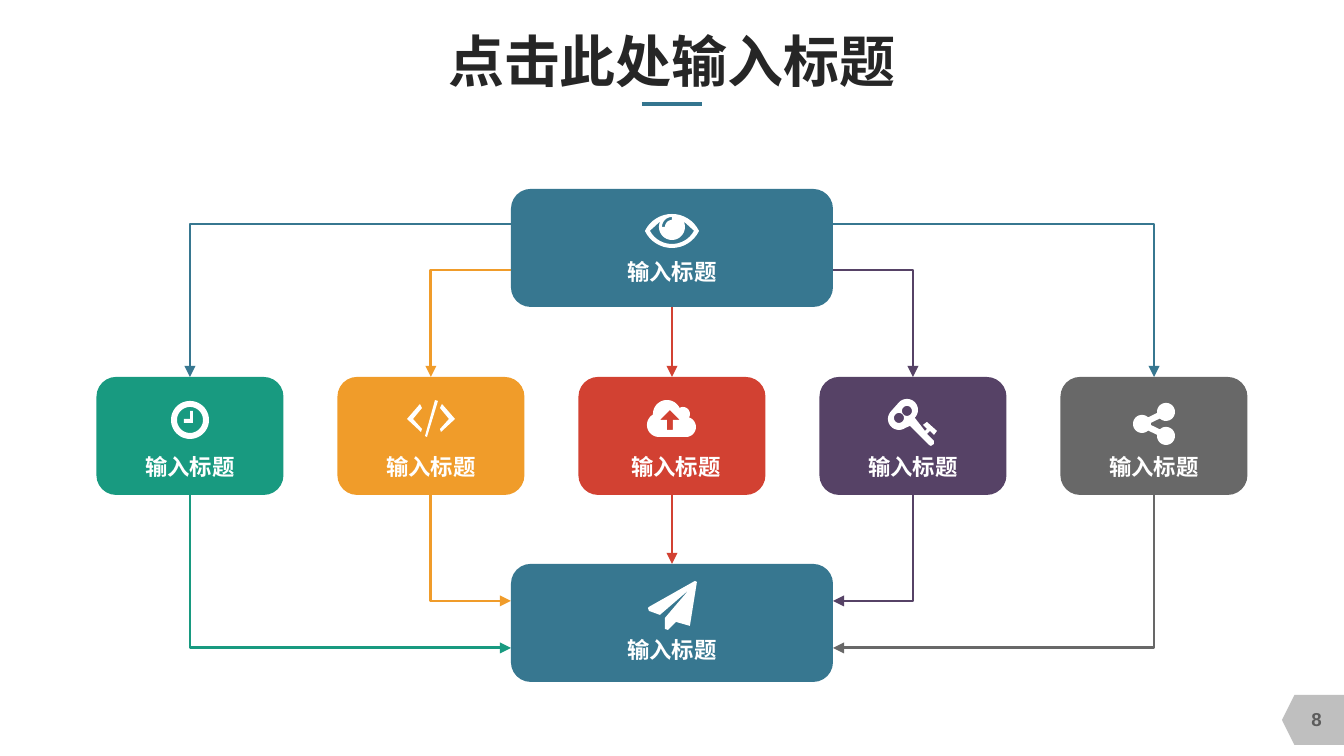
from math import cos, radians, sin

from lxml.etree import SubElement
from pptx import Presentation
from pptx.dml.color import RGBColor
from pptx.enum.shapes import MSO_CONNECTOR, MSO_SHAPE
from pptx.enum.text import MSO_ANCHOR, PP_ALIGN
from pptx.oxml.ns import qn
from pptx.util import Pt

EMU_PER_PX = 914400 / 134.4
CENTER = 672
NODE_PITCH, NODE_TOP, NODE_WIDTH = 241, 377, 187
HUB_WIDTH, HUB_TOP, TARGET_TOP = 322, 189, 564
BOX_HEIGHT = 118
LABEL = "输入标题"
WHITE, BLUE, GREEN = "FFFFFF", "377790", "189A80"
ORANGE, RED, PURPLE, GRAY = "F09C2A", "D24132", "564266", "686868"


def px(value):
    return round(value * EMU_PER_PX)


def color(hex_string):
    return RGBColor.from_string(hex_string)


def arc(x, y, radius, start, end):
    """Points of a circular arc; angles in degrees, clockwise from the right."""
    steps = max(4, int(abs(end - start) / 8))
    angles = [radians(start + (end - start) * i / steps) for i in range(steps + 1)]
    return [(x + radius * cos(a), y + radius * sin(a)) for a in angles]


def circle(x, y, radius):
    return arc(x, y, radius, 0, 360)


# Icon outlines: px from the middle of the box's top edge.
CHEVRON = [(-10, 55), (-24, 42), (-11, 27), (-9, 31), (-18, 42), (-9, 52)]
CLOCK = [
    circle(0, 43, 19),
    circle(0, 43, 13),
    [(0, 34), (3, 34), (3, 46), (-6, 46), (-6, 42), (0, 42)],
]
CODE = [
    CHEVRON,
    [(-4, 60), (-6, 59), (4, 23), (7, 24)],
    [(-x, y) for x, y in CHEVRON],
]
CLOUD = [
    arc(-13, 48, 12, 90, 240) + arc(-5, 37, 14, 180, 335)
    + arc(11, 37, 7, 240, 390) + arc(14, 50, 10, -75, 90),
    [(-2, 33), (-12, 43), (-5, 43), (-5, 53), (1, 53), (1, 43), (8, 43)],
]
KEY = [
    arc(-14, 42, 11, 55, 225) + arc(-6, 33, 11, 225, 405)
    + [(12, 54), (14, 52), (10, 48), (14, 45), (24, 54), (21, 58), (17, 54),
       (14, 57), (21, 64), (21, 67), (18, 69), (16, 68), (-3, 49)],
    circle(-6, 34, 5),
    circle(-14, 41, 5),
]
SHARE = [
    arc(-12, 47, 9, 47, 313) + arc(12, 35, 9, 173, 493)
    + arc(-12, 47, 9, -7, 7) + arc(12, 59, 9, 227, 547),
]
EYE = [
    arc(0, 55, 30, 206, 334) + arc(0, 29, 30, 26, 154),
    arc(0, 38, 13, -25, 205) + arc(0, 30, 25, 152, 28),
    arc(0, 38, 10, 180, 270) + arc(0, 38, 7, 270, 180),
]
PLANE = [
    [(25, 18), (18, 62), (4, 58), (-4, 66), (-7, 65), (-7, 54), (17, 26),
     (-12, 51), (-23, 47), (-24, 44), (-23, 43), (23, 17)],
]


def paint(shape, fill):
    shape.shadow.inherit = False
    shape.fill.solid()
    shape.fill.fore_color.rgb = color(fill)
    shape.line.fill.background()


def add_block(slide, kind, left, top, width, height, fill):
    shape = slide.shapes.add_shape(kind, px(left), px(top), px(width), px(height))
    paint(shape, fill)
    return shape


def add_text(slide, text, left, top, width, height, *, size, fill=WHITE,
             anchor=MSO_ANCHOR.TOP):
    box = slide.shapes.add_textbox(px(left), px(top), px(width), px(height))
    frame = box.text_frame
    frame.word_wrap = False
    frame.vertical_anchor = anchor
    frame.margin_left = frame.margin_right = 0
    frame.margin_top = frame.margin_bottom = 0
    paragraph = frame.paragraphs[0]
    paragraph.alignment = PP_ALIGN.CENTER
    run = paragraph.add_run()
    run.text = text
    run.font.name = "Arial"
    run.font.size = Pt(size)
    run.font.bold = True
    run.font.color.rgb = color(fill)


def add_icon(slide, contours, center, top):
    outlines = [[(px(center + x), px(top + y)) for x, y in contour]
                for contour in contours]
    builder = slide.shapes.build_freeform(*outlines[0][0])
    builder.add_line_segments(outlines[0][1:])
    for outline in outlines[1:]:
        builder.move_to(*outline[0])
        builder.add_line_segments(outline[1:])
    paint(builder.convert_to_shape(), WHITE)


def add_line(slide, start, end, stroke, *, width=1.5, arrow=None, elbow=False):
    """Arrow is headEnd, tailEnd or None; an elbow leaves its start sideways."""
    kind = MSO_CONNECTOR.ELBOW if elbow else MSO_CONNECTOR.STRAIGHT
    connector = slide.shapes.add_connector(kind, *map(px, start + end))
    connector.line.color.rgb = color(stroke)
    connector.line.width = Pt(width)
    properties = connector._element.spPr
    if elbow:
        properties.find(qn("a:prstGeom")).set("prst", "bentConnector2")
    if arrow:
        SubElement(connector.line._get_or_add_ln(), qn(f"a:{arrow}"), type="triangle")
    SubElement(properties, qn("a:effectLst"))


def add_card(slide, center, top, width, fill, icon, label_top, label_shift=0):
    add_block(slide, MSO_SHAPE.ROUNDED_RECTANGLE, center - width / 2, top,
              width, BOX_HEIGHT, fill)
    add_text(slide, LABEL, center - 45 + label_shift, top + label_top, 90, 27, size=12)
    add_icon(slide, icon, center, top)


def add_links(slide, index, center, upper_color, lower_color):
    """Join a node to the hub above it and the target below it."""
    distance = abs(index - 2)
    node_bottom = NODE_TOP + BOX_HEIGHT
    if distance == 0:
        hub_x, upper_y, lower_y = CENTER, HUB_TOP + BOX_HEIGHT, TARGET_TOP
    else:
        side = 1 if index > 2 else -1
        hub_x = CENTER + side * HUB_WIDTH // 2
        upper_y = 270 - 46 * (distance - 1)
        lower_y = 601 + 47 * (distance - 1)
    elbow = distance > 0
    add_line(slide, (hub_x, upper_y), (center, NODE_TOP), upper_color,
             arrow="tailEnd", elbow=elbow)
    add_line(slide, (hub_x, lower_y), (center, node_bottom), lower_color,
             arrow="headEnd", elbow=elbow)


def main():
    presentation = Presentation()
    presentation.slide_width, presentation.slide_height = px(1344), px(756)
    slide = presentation.slides.add_slide(presentation.slide_layouts[6])

    add_line(slide, (642, 104), (702, 104), "34758F", width=2)
    page_tab = add_block(slide, MSO_SHAPE.FLOWCHART_OFFPAGE_CONNECTOR,
                         1288, 689, 50, 62, "BFBFBF")
    page_tab.rotation = 90
    add_text(slide, "8", 1283, 699, 67, 40, size=10, fill="5C5C5C",
             anchor=MSO_ANCHOR.MIDDLE)

    nodes = [
        (GREEN, BLUE, CLOCK, 0),
        (ORANGE, ORANGE, CODE, 0),
        (RED, RED, CLOUD, 4),
        (PURPLE, PURPLE, KEY, 0),
        (GRAY, BLUE, SHARE, 0),
    ]
    centers = [CENTER + NODE_PITCH * (i - 2) for i in range(len(nodes))]
    for index, (fill, upper_color, _, _) in enumerate(nodes):
        add_links(slide, index, centers[index], upper_color, fill)
    for center, (fill, _, icon, shift) in zip(centers, nodes):
        add_card(slide, center, NODE_TOP, NODE_WIDTH, fill, icon, 76, shift)
    add_card(slide, CENTER, TARGET_TOP, HUB_WIDTH, BLUE, PLANE, 72)
    add_card(slide, CENTER, HUB_TOP, HUB_WIDTH, BLUE, EYE, 69)

    add_text(slide, "点击此处输入标题", 93, 13, 1158, 95, size=30, fill="262626",
             anchor=MSO_ANCHOR.MIDDLE)
    presentation.save("out.pptx")


if __name__ == "__main__":
    main()
